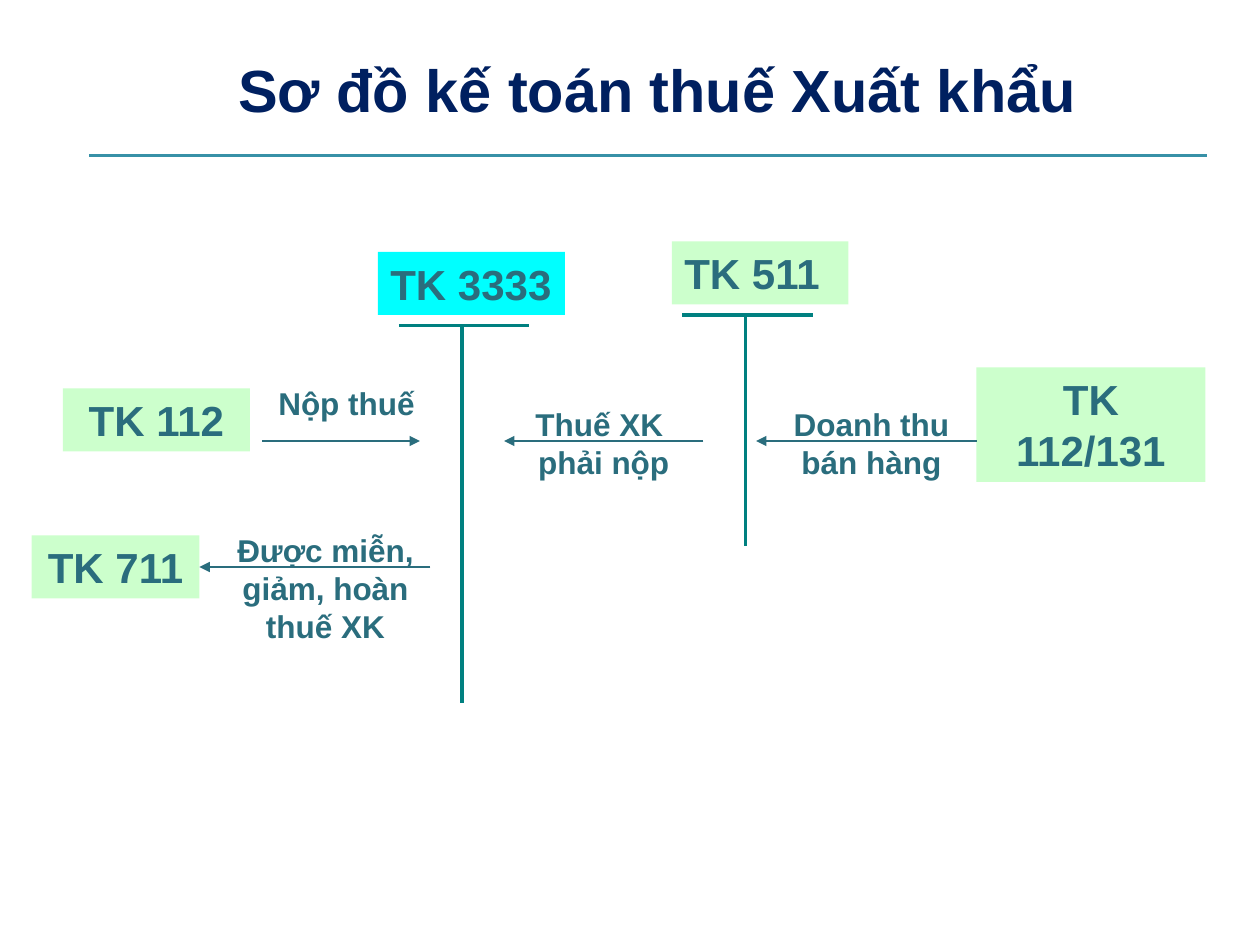
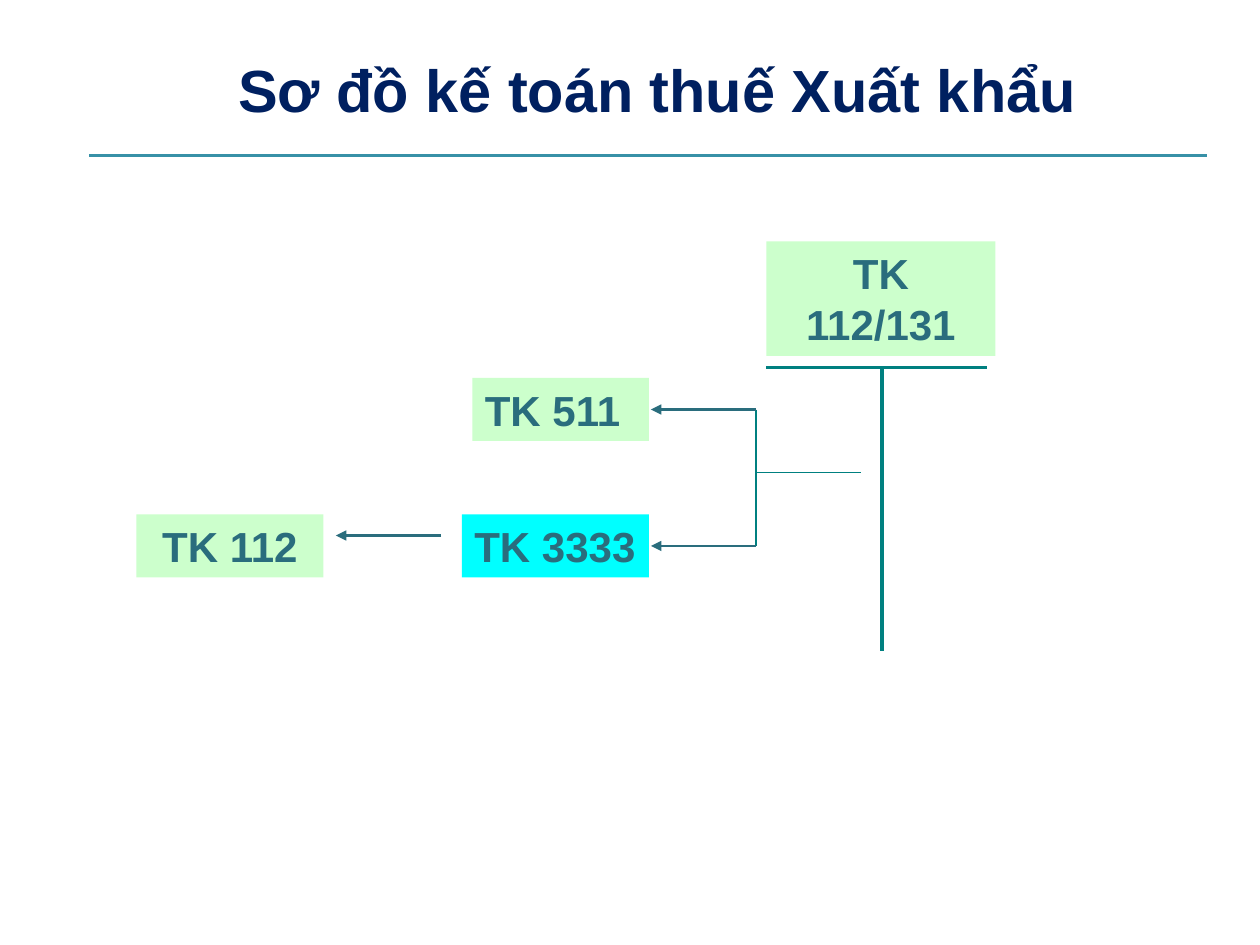
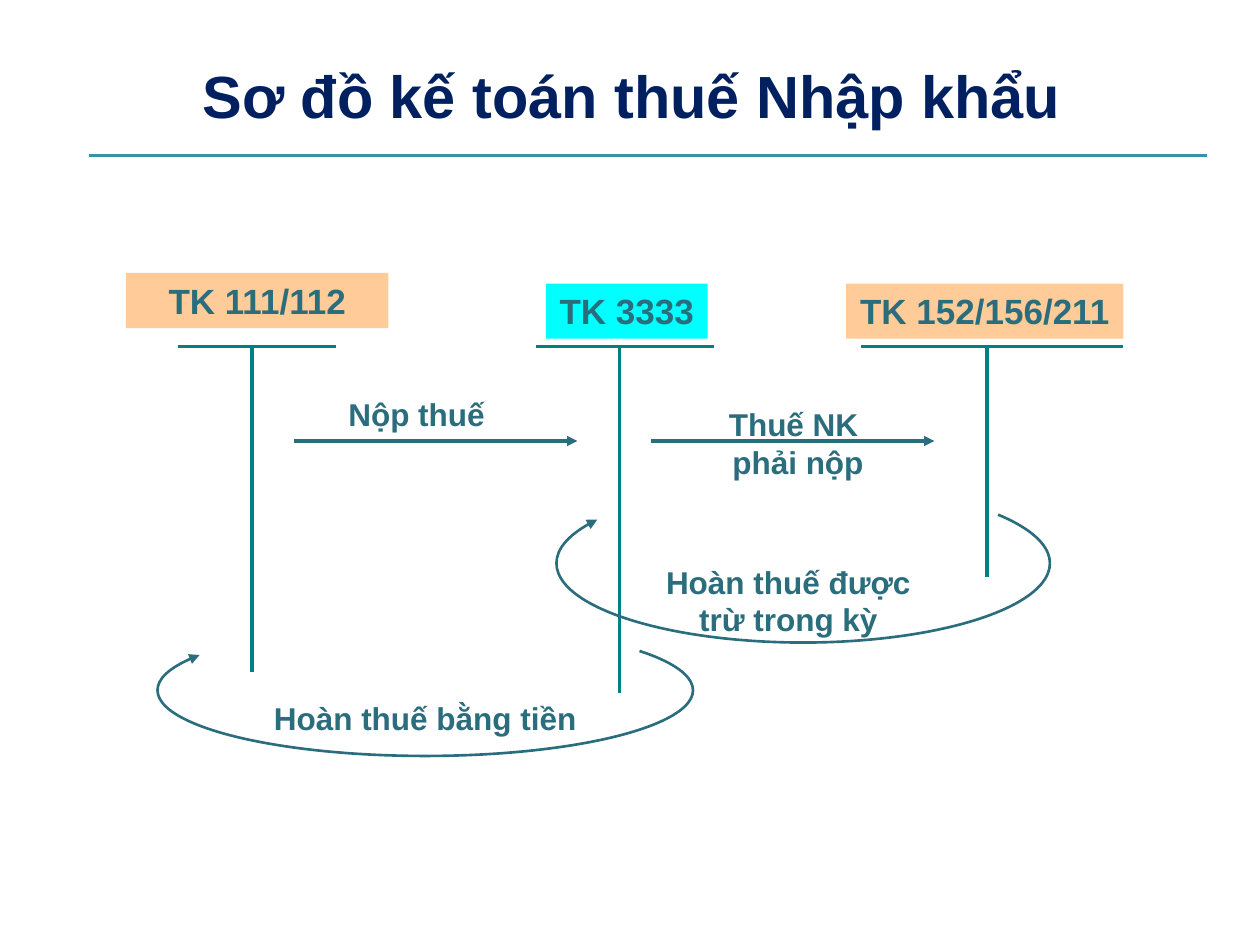
from dataclasses import dataclass

from lxml import etree
from pptx import Presentation
from pptx import util as u
from pptx.dml.color import RGBColor
from pptx.enum import shapes, text
from pptx.oxml.ns import qn

NAVY = RGBColor(0x00, 0x20, 0x60)
RULE_BLUE = RGBColor(0x38, 0x91, 0xA7)
TEAL = RGBColor(0x00, 0x80, 0x80)
INK = RGBColor(0x2A, 0x6D, 0x7D)
CYAN = RGBColor(0x00, 0xFF, 0xFF)
GREEN = RGBColor(0xCC, 0xFF, 0xCC)
PEACH = RGBColor(0xFF, 0xCC, 0x99)
WHITE = RGBColor(0xFF, 0xFF, 0xFF)

FONT = "Arial"
COLUMNS, ROWS = 120, 90
SLIDE_W, SLIDE_H = u.Inches(10), u.Inches(7.5)
LEFT, CENTER = text.PP_ALIGN.LEFT, text.PP_ALIGN.CENTER


@dataclass
class Area:
    col: float
    row: float
    cols: float
    rows: float

    def place(self) -> tuple[int, int, int, int]:
        return across(self.col), down(self.row), across(self.cols), down(self.rows)


@dataclass
class Account:
    name: str
    area: Area
    fill: RGBColor = GREEN
    size: int = 24
    align: text.PP_ALIGN = CENTER
    wrap: bool = True


@dataclass
class Label:
    lines: tuple[str, ...]
    area: Area
    align: text.PP_ALIGN = CENTER


@dataclass
class Line:
    start: tuple[float, float]
    end: tuple[float, float]
    color: RGBColor = INK
    width: float = 1.5
    arrow: bool = True


@dataclass
class TAccount:
    row: float
    left: float
    right: float
    stem: float
    bottom: float


@dataclass
class Loop:
    area: Area
    start_angle: float
    end_angle: float


def across(cols: float) -> int:
    return round(SLIDE_W * cols / COLUMNS)


def down(rows: float) -> int:
    return round(SLIDE_H * rows / ROWS)


def write(tf, lines: tuple[str, ...], size: int, color: RGBColor, align: text.PP_ALIGN) -> None:
    for i, line in enumerate(lines):
        p = tf.add_paragraph() if i else tf.paragraphs[0]
        p.alignment = align
        r = p.add_run()
        r.text = line
        r.font.name, r.font.size, r.font.bold = FONT, u.Pt(size), True
        r.font.color.rgb = color


def add_arrowhead(sp) -> None:
    etree.SubElement(sp.line._get_or_add_ln(), qn("a:tailEnd"), type="triangle")


def draw_line(s, line: Line):
    (x1, y1), (x2, y2) = line.start, line.end
    sp = s.shapes.add_connector(shapes.MSO_CONNECTOR.STRAIGHT,
                                across(x1), down(y1), across(x2), down(y2))
    sp.line.color.rgb = line.color
    sp.line.width = u.Pt(line.width)
    if line.arrow:
        add_arrowhead(sp)
    etree.SubElement(sp.element.spPr, qn("a:effectLst"))
    return sp


def draw_t_account(s, t: TAccount) -> None:
    draw_line(s, Line((t.left, t.row), (t.right, t.row), TEAL, 2.25, False))
    draw_line(s, Line((t.stem, t.row), (t.stem, t.bottom), TEAL, 2.25, False))


def draw_account(s, account: Account) -> None:
    sp = s.shapes.add_shape(shapes.MSO_SHAPE.RECTANGLE, *account.area.place())
    sp.shadow.inherit = False
    sp.fill.solid()
    sp.fill.fore_color.rgb = account.fill
    sp.line.fill.background()
    tf = sp.text_frame
    tf.word_wrap = account.wrap
    tf.vertical_anchor = text.MSO_ANCHOR.TOP
    tf.auto_size = text.MSO_AUTO_SIZE.SHAPE_TO_FIT_TEXT
    write(tf, (account.name,), account.size, INK, account.align)


def draw_label(s, label: Label) -> None:
    tf = s.shapes.add_textbox(*label.area.place()).text_frame
    tf.word_wrap = True
    tf.auto_size = text.MSO_AUTO_SIZE.SHAPE_TO_FIT_TEXT
    write(tf, label.lines, 18, INK, label.align)


def draw_loop(s, loop: Loop) -> None:
    sp = s.shapes.add_shape(shapes.MSO_SHAPE.ARC, *loop.area.place())
    sp.shadow.inherit = False
    sp.fill.background()
    sp.adjustments[0] = loop.start_angle * 0.6
    sp.adjustments[1] = loop.end_angle * 0.6
    sp.line.color.rgb = INK
    sp.line.width = u.Pt(1.5)
    add_arrowhead(sp)


DRAW = {TAccount: draw_t_account, Account: draw_account, Line: draw_line,
        Label: draw_label, Loop: draw_loop}


def add_slide(prs, layout, title: str, title_area: Area, items: list) -> None:
    s = prs.slides.add_slide(layout)
    sp = s.shapes.title
    sp.left, sp.top, sp.width, sp.height = title_area.place()
    tf = sp.text_frame
    tf.auto_size = text.MSO_AUTO_SIZE.NONE
    tf.vertical_anchor = text.MSO_ANCHOR.MIDDLE
    write(tf, (title,), 34, NAVY, CENTER)
    for item in items:
        DRAW[type(item)](s, item)


def export_account(name: str, col: float, row: float) -> Account:
    fill, cols, rows, align = {
        "TK 3333": (CYAN, 17.8, 6, LEFT),
        "TK 511": (GREEN, 16.8, 6, LEFT),
        "TK 112": (GREEN, 17.8, 6, CENTER),
        "TK 711": (GREEN, 16, 6, CENTER),
        "TK 112/131": (GREEN, 21.8, 10.9, CENTER),
    }[name]
    return Account(name, Area(col, row, cols, rows), fill, align=align)


def import_account(name: str, area: Area, fill: RGBColor = PEACH, wrap: bool = False) -> Account:
    return Account(name, area, fill, 20, wrap=wrap)


EXPORT_TITLE = "Sơ đồ kế toán thuế Xuất khẩu"
EXPORT_TITLE_AREA = Area(12.2, 3.4, 100.8, 10)
IMPORT_TITLE = "Sơ đồ kế toán thuế Nhập khẩu"
IMPORT_TITLE_AREA = Area(8, 4, 104.3, 10)
TITLE_RULE = Line((8.5, 14.8), (115, 14.8), RULE_BLUE, 1.5, False)

EXPORT_FLOW = [
    TAccount(31, 38, 50.4, 44, 67),
    TAccount(30, 65, 77.4, 71, 52),
    export_account("TK 3333", 36, 24),
    export_account("TK 511", 64, 23),
    export_account("TK 112", 6, 37),
    export_account("TK 112/131", 93, 35),
    export_account("TK 711", 3, 51),
    Line((67, 42), (48, 42)),
    Line((93, 42), (72, 42)),
    Line((25, 42), (40, 42)),
    Line((41, 54), (19, 54)),
    Label(("Thuế XK ", "phải nộp"), Area(48, 38, 19, 8.5)),
    Label(("Doanh thu bán hàng",), Area(74, 38, 18, 8.5)),
    Label(("Nộp thuế",), Area(25, 36, 16, 4.8)),
    Label(("Được miễn, giảm, hoàn thuế XK",), Area(19, 50, 24, 12.1)),
]

EXPORT_SPLIT = [
    TAccount(35, 73, 94, 84, 62),
    export_account("TK 3333", 44, 49),
    export_account("TK 511", 45, 36),
    export_account("TK 112", 13, 49),
    export_account("TK 112/131", 73, 23),
    Line((72, 39), (72, 52), TEAL, 1, False),
    Line((82, 45), (72, 45), TEAL, 1, False),
    Line((72, 39), (62, 39)),
    Line((72, 52), (62, 52)),
    Line((42, 51), (32, 51)),
]

IMPORT_FLOW = [
    TAccount(33, 51, 68, 59, 66),
    TAccount(33, 82, 107, 94, 55),
    TAccount(33, 17, 32, 24, 64),
    import_account("TK 3333", Area(52, 27, 15.4, 5.25), CYAN),
    import_account("TK 111/112", Area(12, 26, 25, 5.25), wrap=True),
    import_account("TK 152/156/211", Area(80.6, 27, 26.4, 5.25)),
    Line((28, 42), (55, 42), width=1.75),
    Line((62, 42), (89, 42), width=1.75),
    Label(("Nộp thuế",), Area(32, 37, 18, 4.8), LEFT),
    Label(("Thuế NK ", "phải nộp"), Area(68, 38, 16, 8.4)),
    Label(("Hoàn thuế được ", "trừ trong kỳ "), Area(56, 53, 39, 8.5)),
    Label(("Hoàn thuế bằng tiền",), Area(18, 66, 45, 4.8)),
    Loop(Area(53, 46.1, 47, 15.1), 346, 192),
    Loop(Area(15, 59.5, 51, 12.5), 349.6, 188.9),
]


def main() -> None:
    prs = Presentation()
    prs.slide_width, prs.slide_height = SLIDE_W, SLIDE_H
    layout = prs.slide_layouts.get_by_name("Title Only")
    layout.background.fill.solid()
    layout.background.fill.fore_color.rgb = WHITE
    add_slide(prs, layout, EXPORT_TITLE, EXPORT_TITLE_AREA, EXPORT_FLOW)
    add_slide(prs, layout, EXPORT_TITLE, EXPORT_TITLE_AREA, EXPORT_SPLIT)
    add_slide(prs, layout, IMPORT_TITLE, IMPORT_TITLE_AREA, IMPORT_FLOW)
    rule = draw_line(prs.slides[0], TITLE_RULE)
    layout.shapes.element.append(rule.element)
    prs.save("out.pptx")


if __name__ == "__main__":
    main()
